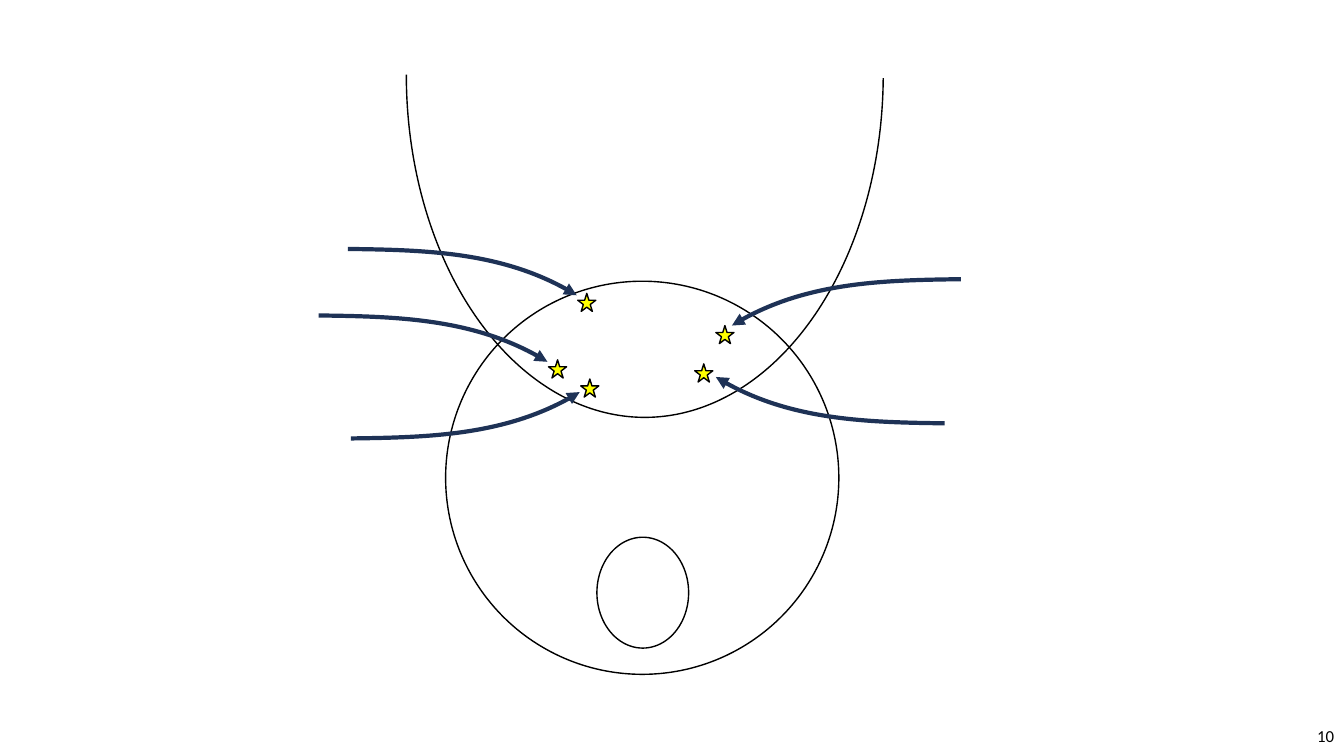
from dataclasses import dataclass

from lxml.etree import SubElement
from pptx import Presentation
from pptx.dml.color import RGBColor
from pptx.enum.shapes import MSO_SHAPE as Kind
from pptx.enum.text import MSO_ANCHOR as Anchor, PP_ALIGN as Align
from pptx.oxml.ns import qn
from pptx.shapes.autoshape import Shape
from pptx.shapes.shapetree import GroupShapes, SlideShapes
from pptx.util import Inches, Pt

HUES = {"ink": "000000", "paper": "FFFFFF", "star": "FFFF00", "arrow": "1E3256"}
FONT = "Calibri"
STAR = 0.18
BEND = [(0.76, 0.01), (1.58, 0.03), (2.27, 0.46)]


@dataclass(frozen=True)
class Mark:
    star: tuple[float, float]
    start: tuple[float, float]
    right: int
    down: int


MARKS = [
    Mark((5.73, 2.91), (3.45, 2.47), 1, 1),
    Mark((5.76, 3.76), (3.48, 4.35), 1, -1),
    Mark((5.44, 3.57), (3.16, 3.13), 1, 1),
    Mark((6.89, 3.61), (9.37, 4.2), -1, -1),
    Mark((7.1, 3.23), (9.53, 2.77), -1, 1),
]


def color(name: str) -> RGBColor:
    return RGBColor.from_string(HUES[name])


def style(shape: Shape, fill: str | None, line: str = "ink", width: float = 1) -> None:
    shape.shadow.inherit = False
    if fill:
        shape.fill.solid()
        shape.fill.fore_color.rgb = color(fill)
    else:
        shape.fill.background()
    shape.line.color.rgb = color(line)
    shape.line.width = Pt(width)


def draw(shapes: SlideShapes | GroupShapes, kind: Kind, box: tuple[float, ...],
         fill: str | None) -> Shape:
    shape = shapes.add_shape(kind, *map(Inches, box))
    style(shape, fill)
    return shape


def write(shapes: SlideShapes, text: str, box: tuple[float, ...], *,
          size: float, hue: str, align: Align) -> None:
    frame = shapes.add_textbox(*map(Inches, box)).text_frame
    frame.word_wrap = True
    frame.vertical_anchor = Anchor.MIDDLE
    para = frame.paragraphs[0]
    para.text = text
    para.alignment = align
    para.font.name = FONT
    para.font.size = Pt(size)
    para.font.color.rgb = color(hue)


def curve(shapes: GroupShapes, mark: Mark) -> None:
    left, top = mark.start
    pen = shapes.build_freeform(Inches(left), Inches(top))
    pen.add_line_segments(
        [(Inches(left + mark.right * x), Inches(top + mark.down * y)) for x, y in BEND],
        close=False,
    )
    shape = pen.convert_to_shape()
    style(shape, None, "arrow", 3)
    route = next(shape._element.iter(qn("a:path")))
    bend = SubElement(route, qn("a:cubicBezTo"))
    for step in route.findall(qn("a:lnTo")):
        bend.append(step[0])
        route.remove(step)
    SubElement(shape.line._get_or_add_ln(), qn("a:tailEnd"), type="triangle")


def main() -> None:
    deck = Presentation()
    deck.slide_width, deck.slide_height = Inches(13.33), Inches(7.5)
    shapes = deck.slides.add_slide(deck.slide_layouts[6]).shapes
    write(shapes, "10", (10.33, 7.1, 3, 0.4), size=12, hue="ink", align=Align.RIGHT)
    draw(shapes, Kind.OVAL, (4.42, 2.79, 3.9, 3.9), "paper")
    draw(shapes, Kind.OVAL, (5.92, 5.33, 0.91, 1.1), "paper")
    arc = draw(shapes, Kind.ARC, (4.03, -2.66, 4.73, 6.8), None)
    arc.rotation = 180
    arc.adjustments[0] = 108.51
    arc.adjustments[1] = 0
    for mark in MARKS:
        group = shapes.add_group_shape().shapes
        draw(group, Kind.STAR_5_POINT, (*mark.star, STAR, STAR), "star")
        curve(group, mark)
    deck.save("out.pptx")


if __name__ == "__main__":
    main()
